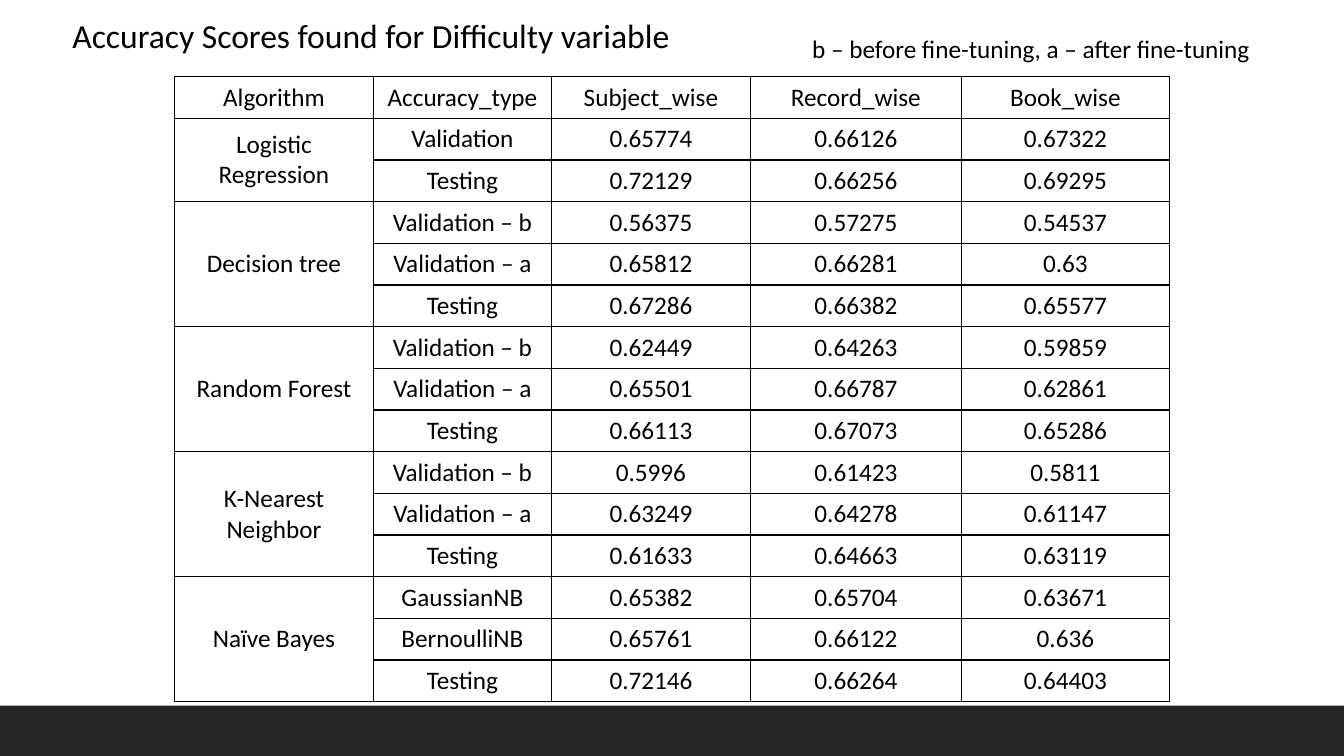
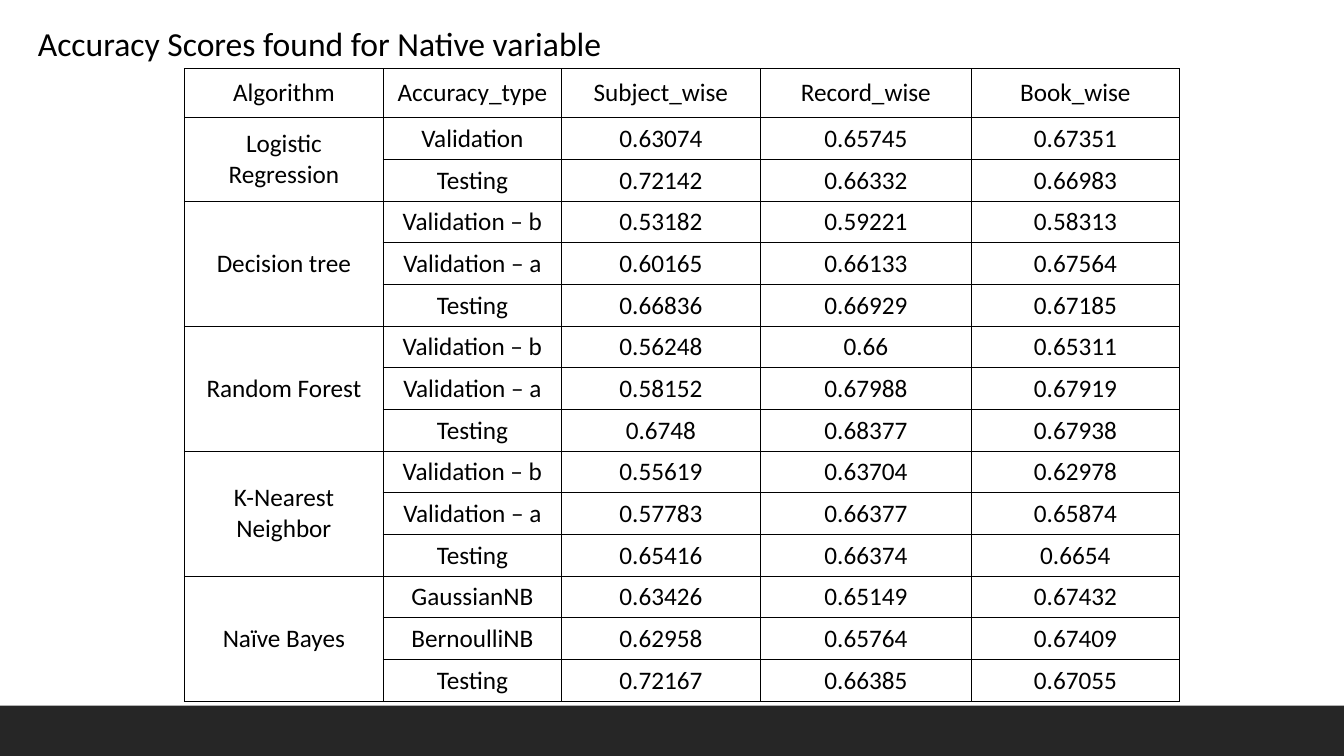
from dataclasses import dataclass

from lxml import etree
from pptx import Presentation
from pptx import util as u
from pptx.dml.color import RGBColor
from pptx.enum import shapes, text
from pptx.oxml.ns import qn


@dataclass(frozen=True)
class Theme:
    font: str = "Calibri"
    ink: str = "000000"
    band: str = "262626"
    title_size: int = 24
    body_size: int = 18
    border: float = 1


HEADER = ["Algorithm", "Accuracy_type", "Subject_wise", "Record_wise", "Book_wise"]
PLAIN = ["Validation", "Testing"]
TUNED = ["Validation – b", "Validation – a", "Testing"]
ALGORITHMS = {
    "Logistic Regression": PLAIN,
    "Decision tree": TUNED,
    "Random Forest": TUNED,
    "K-Nearest Neighbor": TUNED,
    "Naïve Bayes": ["GaussianNB", "BernoulliNB", "Testing"],
}
COLUMN_WIDTHS = [5.01, 4.49, 5.01, 5.32, 5.24]
ROW_HEIGHT = 1.05

DIFFICULTY = """
0.65774 0.66126 0.67322
0.72129 0.66256 0.69295
0.56375 0.57275 0.54537
0.65812 0.66281 0.63
0.67286 0.66382 0.65577
0.62449 0.64263 0.59859
0.65501 0.66787 0.62861
0.66113 0.67073 0.65286
0.5996 0.61423 0.5811
0.63249 0.64278 0.61147
0.61633 0.64663 0.63119
0.65382 0.65704 0.63671
0.65761 0.66122 0.636
0.72146 0.66264 0.64403
"""

NATIVE = """
0.63074 0.65745 0.67351
0.72142 0.66332 0.66983
0.53182 0.59221 0.58313
0.60165 0.66133 0.67564
0.66836 0.66929 0.67185
0.56248 0.66 0.65311
0.58152 0.67988 0.67919
0.6748 0.68377 0.67938
0.55619 0.63704 0.62978
0.57783 0.66377 0.65874
0.65416 0.66374 0.6654
0.63426 0.65149 0.67432
0.62958 0.65764 0.67409
0.72167 0.66385 0.67055
"""


class Deck:
    def __init__(self, theme):
        self.theme = theme
        self.prs = Presentation()
        self.prs.slide_width = u.Cm(33.87)
        self.prs.slide_height = u.Cm(19.05)
        self.s = None

    def slide(self):
        self.s = self.prs.slides.add_slide(self.prs.slide_layouts[5])

    def master_band(self, top, height):
        sp = self.s.shapes.add_shape(shapes.MSO_SHAPE.RECTANGLE, 0, u.Cm(top),
                                     self.prs.slide_width, u.Cm(height))
        sp.shadow.inherit = False
        sp.fill.solid()
        sp.fill.fore_color.rgb = RGBColor.from_string(self.theme.band)
        sp.line.fill.background()
        sp.element.nvSpPr.cNvPr.set("id", "100")
        self.prs.slide_master.shapes.element.append(sp.element)

    def add_text(self, tf, content, size, align):
        p = tf.paragraphs[0]
        p.alignment = align
        r = p.add_run()
        r.text = content
        for name, value in {"name": self.theme.font, "size": u.Pt(size), "bold": False}.items():
            setattr(r.font, name, value)
        r.font.color.rgb = RGBColor.from_string(self.theme.ink)

    def fill_box(self, sp, box, content, size):
        for name, value in zip(("left", "top", "width", "height"), box):
            setattr(sp, name, u.Cm(value))
        tf = sp.text_frame
        frame = {
            "word_wrap": True,
            "auto_size": text.MSO_AUTO_SIZE.SHAPE_TO_FIT_TEXT,
            "vertical_anchor": text.MSO_ANCHOR.TOP,
        }
        for name, value in frame.items():
            setattr(tf, name, value)
        self.add_text(tf, content, size, text.PP_ALIGN.LEFT)

    def title(self, content, left, top):
        self.fill_box(self.s.shapes.title, (left, top, 16.51, 1.27), content,
                      self.theme.title_size)

    def note(self, content, box):
        sp = self.s.shapes.add_textbox(0, 0, 0, 0)
        self.fill_box(sp, box, content, self.theme.body_size)

    def cell_borders(self, cell):
        tc_pr = cell._tc.get_or_add_tcPr()
        for side in ("a:lnL", "a:lnR", "a:lnT", "a:lnB"):
            ln = etree.SubElement(tc_pr, qn(side), w=str(u.Pt(self.theme.border)))
            fill = etree.SubElement(ln, qn("a:solidFill"))
            etree.SubElement(fill, qn("a:srgbClr"), val=self.theme.ink)

    def score_table(self, scores, left, top, header_height):
        rows = [HEADER]
        spans = []
        values = iter(scores.strip().splitlines())
        for algorithm, kinds in ALGORITHMS.items():
            spans.append((len(rows), len(kinds)))
            for i, kind in enumerate(kinds):
                rows.append(["" if i else algorithm, kind, *next(values).split()])
        heights = [header_height] + [ROW_HEIGHT] * (len(rows) - 1)
        table = self.s.shapes.add_table(
            len(rows), len(HEADER), u.Cm(left), u.Cm(top),
            u.Cm(sum(COLUMN_WIDTHS)), u.Cm(sum(heights))).table
        table.first_row = table.horz_banding = False
        for column, width in zip(table.columns, COLUMN_WIDTHS):
            column.width = u.Cm(width)
        for row, height, contents in zip(table.rows, heights, rows):
            row.height = u.Cm(height)
            for cell, content in zip(row.cells, contents):
                self.cell_borders(cell)
                cell.fill.background()
                cell.vertical_anchor = text.MSO_ANCHOR.MIDDLE
                if content:
                    self.add_text(cell.text_frame, content, self.theme.body_size,
                                  text.PP_ALIGN.CENTER)
        for first, count in spans:
            table.cell(first, 0).merge(table.cell(first + count - 1, 0))


def main():
    deck = Deck(Theme())

    deck.slide()
    deck.master_band(17.78, 1.27)
    deck.title("Accuracy Scores found for Difficulty variable", 1.57, 0.25)
    deck.score_table(DIFFICULTY, 4.4, 1.93, ROW_HEIGHT)
    deck.note("b – before fine-tuning, a – after fine-tuning", (20.22, 0.71, 12.07, 1.02))

    deck.slide()
    deck.title("Accuracy Scores found for Native variable", 0.7, 0.44)
    deck.score_table(NATIVE, 4.65, 1.73, 1.24)

    deck.prs.save("out.pptx")


if __name__ == "__main__":
    main()
